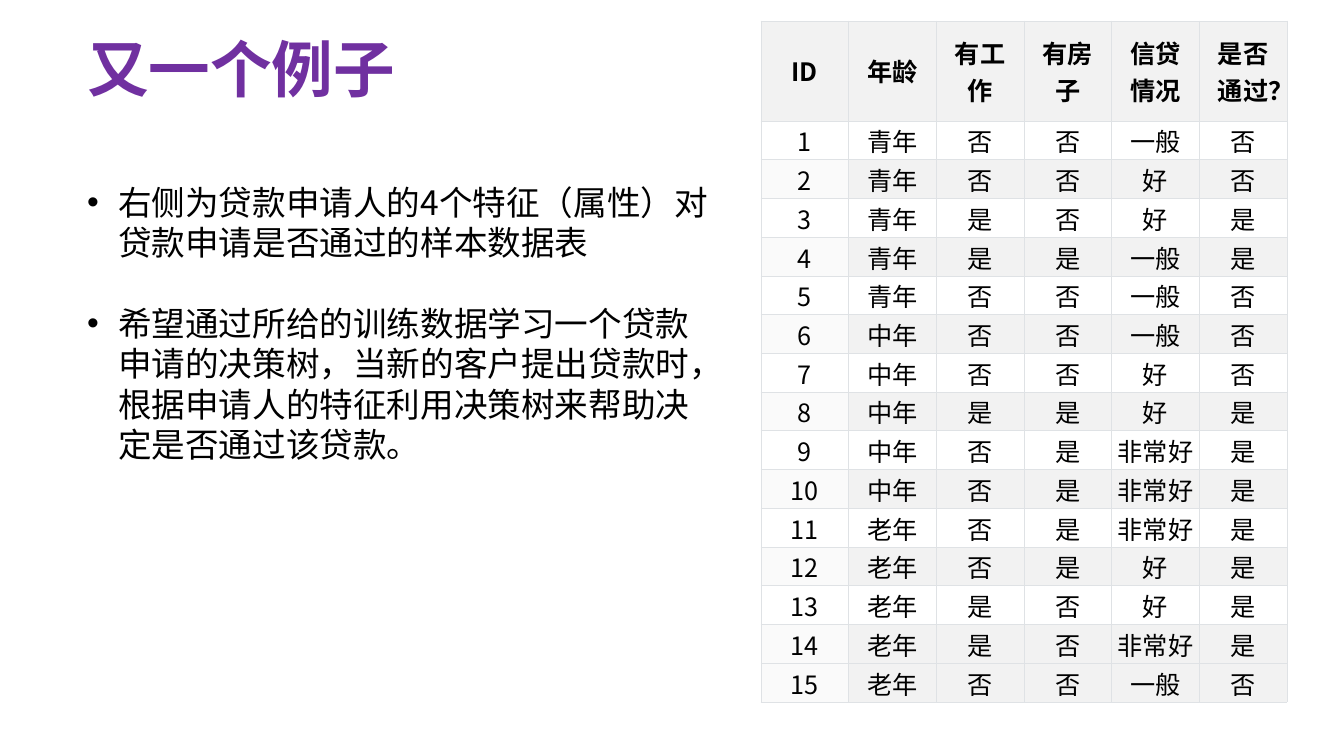
"""Build a slide that introduces the loan application sample table."""
from dataclasses import dataclass

from lxml import etree
from pptx import Presentation
from pptx import util as u
from pptx.dml.color import RGBColor
from pptx.enum import text
from pptx.oxml import ns

HEADERS = ["ID", "年龄", "有工作", "有房子", "信贷情况", "是否通过？"]
SAMPLES = """
青年 否 否 一般 否
青年 否 否 好 否
青年 是 否 好 是
青年 是 是 一般 是
青年 否 否 一般 否
中年 否 否 一般 否
中年 否 否 好 否
中年 是 是 好 是
中年 否 是 非常好 是
中年 否 是 非常好 是
老年 否 是 非常好 是
老年 否 是 好 是
老年 是 否 好 是
老年 是 否 非常好 是
老年 否 否 一般 否
"""
POINTS = [
    "右侧为贷款申请人的4个特征（属性）对贷款申请是否通过的样本数据表",
    "希望通过所给的训练数据学习一个贷款申请的决策树，当新的客户提出贷款时，"
    "根据申请人的特征利用决策树来帮助决定是否通过该贷款。",
]


def px(length):
    """Turn px into EMU."""
    return u.Inches(length / 100.8)


@dataclass(frozen=True)
class Theme:
    """Colours, font and type sizes."""
    font: str = "Noto Sans CJK SC"
    title: str = "7030A0"
    ink: str = "000000"
    white: str = "FFFFFF"
    band: str = "F2F2F2"
    id_band: str = "FAFAFA"
    border: str = "DFE2E5"
    title_size: float = 44
    body_size: float = 24
    body_line: float = 28.8
    cell_size: float = 18
    border_width: float = 0.6


class SlideBuilder:
    """Draw elements on one page in one theme."""

    def __init__(self, page, theme):
        self.page = page
        self.theme = theme

    def style(self, para, size, color, bold=False):
        """Set the font of a paragraph."""
        font = para.font
        font.name, font.size, font.bold = self.theme.font, u.Pt(size), bold
        font.color.rgb = RGBColor.from_string(color)
        defaults = para._p.pPr.find(ns.qn("a:defRPr"))
        etree.SubElement(defaults, ns.qn("a:ea"), typeface=self.theme.font)

    def place(self, box, left, top, width, height):
        """Move and size a box."""
        box.left, box.top = px(left), px(top)
        box.width, box.height = px(width), px(height)

    def title(self, words, *bounds):
        """Fill the title placeholder."""
        box = self.page.shapes.title
        self.place(box, *bounds)
        frame = box.text_frame
        frame.text = words
        frame.auto_size = text.MSO_AUTO_SIZE.NONE
        frame.vertical_anchor = text.MSO_ANCHOR.MIDDLE
        para = frame.paragraphs[0]
        para.alignment = text.PP_ALIGN.LEFT
        para.line_spacing = 0.9
        self.style(para, self.theme.title_size, self.theme.title, True)

    def bullets(self, points, *bounds):
        """Fill the body placeholder with a spaced bullet list."""
        box = self.page.placeholders[1]
        self.place(box, *bounds)
        frame = box.text_frame
        frame.text = "\n".join(points)
        frame.auto_size = text.MSO_AUTO_SIZE.SHAPE_TO_FIT_TEXT
        for index, para in enumerate(frame.paragraphs):
            para.line_spacing = u.Pt(self.theme.body_line)
            para.space_before = u.Pt(self.theme.body_line if index else 0)
            self.style(para, self.theme.body_size, self.theme.ink)
            indent = px(31)
            para._p.pPr.set("marL", str(indent))
            para._p.pPr.set("indent", str(-indent))

    def borders(self, cell):
        """Draw the four borders of a cell."""
        properties = cell._tc.get_or_add_tcPr()
        width = str(u.Pt(self.theme.border_width))
        for side in ("lnL", "lnR", "lnT", "lnB"):
            line = etree.SubElement(properties, ns.qn(f"a:{side}"), w=width)
            fill = etree.SubElement(line, ns.qn("a:solidFill"))
            etree.SubElement(fill, ns.qn("a:srgbClr"), val=self.theme.border)

    def cell(self, cell, words, fill, header):
        """Write and format one table cell."""
        cell.text = words
        cell.vertical_anchor = text.MSO_ANCHOR.MIDDLE
        cell.margin_left = cell.margin_right = px(7 if header else 1)
        cell.margin_top = px(3 if header else 1)
        cell.margin_bottom = px(3 if header else 0)
        self.borders(cell)
        cell.fill.solid()
        cell.fill.fore_color.rgb = RGBColor.from_string(fill)
        para = cell.text_frame.paragraphs[0]
        para.alignment = text.PP_ALIGN.CENTER
        self.style(para, self.theme.cell_size, self.theme.ink, header)

    def fill_for(self, row, column, last):
        """Choose the band colour of a cell."""
        if row == 0:
            return self.theme.band
        if row % 2 and row != last:
            return self.theme.white
        return self.theme.band if column else self.theme.id_band

    def table(self, rows, left, top, width, height, header_height):
        """Add a table with equal columns and equal body rows."""
        last = len(rows) - 1
        grid = self.page.shapes.add_table(
            len(rows), len(rows[0]), px(left), px(top), px(width), px(height)).table
        for column in grid.columns:
            column.width = px(width / len(rows[0]))
        for index, row in enumerate(grid.rows):
            row.height = px((height - header_height) / last if index else header_height)
        for r, values in enumerate(rows):
            for c, words in enumerate(values):
                self.cell(grid.cell(r, c), words, self.fill_for(r, c, last), r == 0)


def main():
    """Build and save the deck."""
    deck = Presentation()
    deck.slide_width, deck.slide_height = px(1344), px(756)
    page = deck.slides.add_slide(deck.slide_layouts[1])
    builder = SlideBuilder(page, Theme())
    builder.title("又一个例子", 77, 0, 1159, 146)
    builder.bullets(POINTS, 77, 177, 655, 295)
    samples = [[str(number), *line.split()]
               for number, line in enumerate(SAMPLES.strip().splitlines(), 1)]
    builder.table([HEADERS, *samples], 761, 21, 526, 681, 100)
    deck.save("out.pptx")


if __name__ == "__main__":
    main()
